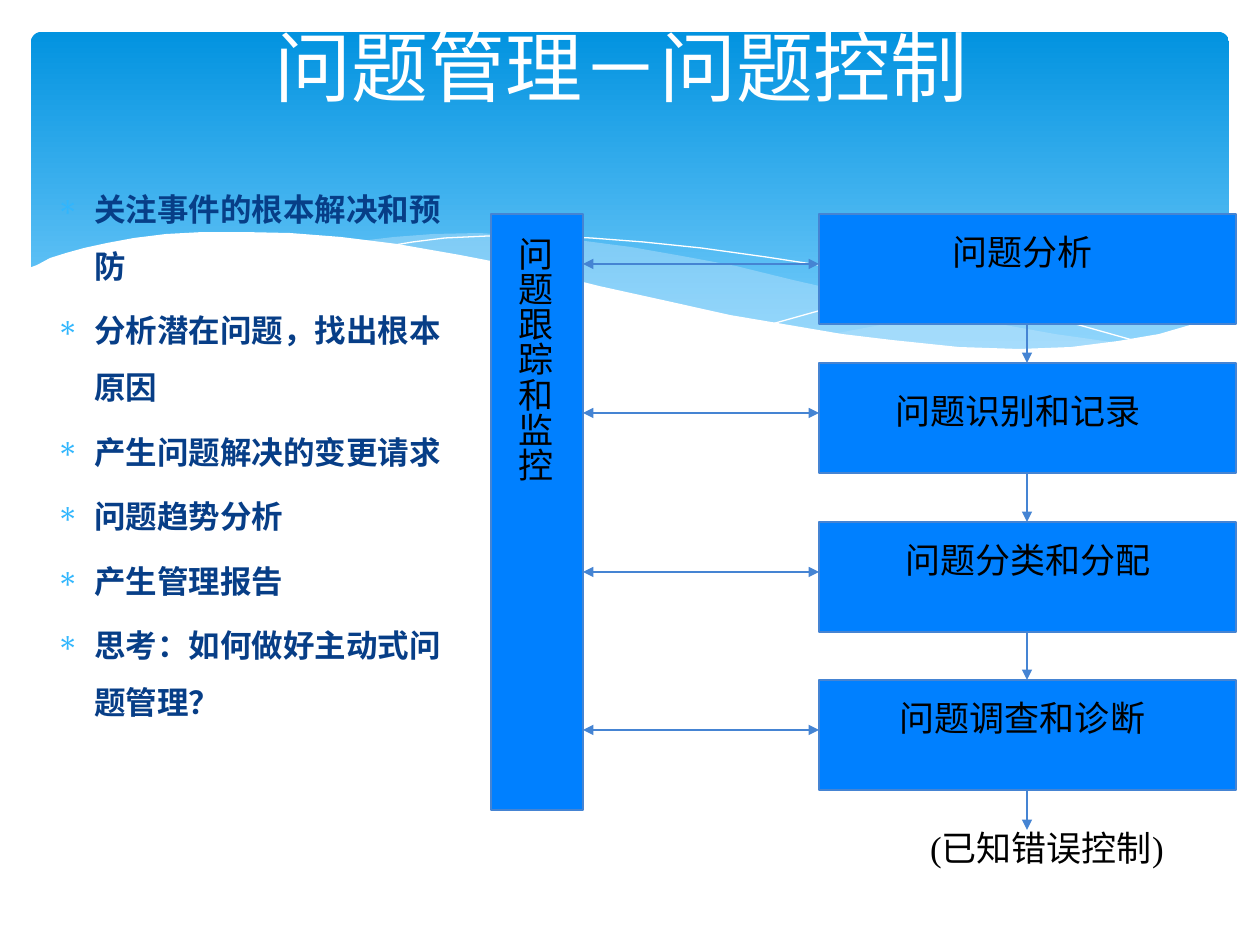
from itertools import pairwise
from lxml.etree import SubElement
from pptx import Presentation
from pptx.dml.color import RGBColor
from pptx.enum.shapes import MSO_CONNECTOR, MSO_SHAPE
from pptx.enum.text import MSO_ANCHOR, PP_ALIGN
from pptx.oxml.ns import qn
from pptx.util import Pt

PX = 914400 / 126
BLUE, EDGE, PALE, WHITE = "0080FF", "4584D3", "C6E7FC", "FFFFFF"

BACK = [(1201, 20), (1165, 25), (1113, 36), (1056, 49), (985, 67), (920, 80),
        (804, 102), (842, 107), (893, 113), (940, 117), (997, 118),
        (1047, 116), (1101, 108), (1149, 98), (1184, 86), (1201, 79)]
MID = [(1096, 112), (1026, 102), (948, 88), (861, 70), (764, 48), (707, 34),
       (653, 24), (602, 15), (556, 9), (500, 4), (450, 1), (404, 2), (365, 5),
       (331, 9), (378, 15), (427, 24), (480, 34), (537, 48), (590, 60),
       (639, 70), (707, 86), (770, 97), (828, 106), (881, 113), (930, 117),
       (988, 120), (1039, 118)]
FALL = [(360, 14), (384, 10), (416, 6), (459, 4), (517, 4), (562, 6),
        (614, 10), (672, 16), (737, 25), (809, 36), (887, 53), (973, 73),
        (1018, 84), (1114, 111)]
RISE = [(743, 92), (793, 78), (847, 64), (913, 49), (987, 33), (1062, 19),
        (1118, 10), (1169, 4), (1200, 1)]
FRONT = [(1202, 78), (1168, 91), (1130, 102), (1089, 109), (1042, 115),
         (990, 117), (930, 115), (863, 108), (813, 102), (760, 93), (701, 83),
         (638, 69), (570, 54), (498, 36), (431, 23), (368, 12), (312, 5),
         (261, 1), (214, 0), (174, 0), (137, 2), (105, 6), (78, 11), (55, 16),
         (37, 21), (21, 26), (8, 33), (0, 36), (0, 183), (1202, 183)]
POINTS = ["关注事件的根本解决和预防", "分析潜在问题，找出根本原因",
          "产生问题解决的变更请求", "问题趋势分析", "产生管理报告",
          "思考：如何做好主动式问题管理？"]
STEPS = [(0, "问题分析", (9, 10, 391, 55)),
         (149, "问题识别和记录", (9, 20, 382, 55)),
         (308, "问题分类和分配", (19, 10, 382, 55)),
         (466, "问题调查和诊断", (9, 10, 391, 55))]


def emu(*nums):
    return [round(n * PX) for n in nums]


def rgb(code):
    return RGBColor.from_string(code)


def paint(shape, fill=None, line=None, width=1):
    shape.shadow.inherit = False
    if fill:
        shape.fill.solid()
        shape.fill.fore_color.rgb = rgb(fill)
    else:
        shape.fill.background()
    if line:
        shape.line.color.rgb = rgb(line)
        shape.line.width = Pt(width)
    else:
        shape.line.fill.background()


def rect(slide, box, fill, line=None):
    shape = slide.shapes.add_shape(MSO_SHAPE.RECTANGLE, *emu(*box))
    paint(shape, fill, line)
    return shape


def style(para, name, size, color, bold=False):
    font = para.font
    font.name, font.size, font.bold = name, Pt(size), bold
    font.color.rgb = rgb(color)


def label(shape, text, pads=(13, 6, 15, 6), align=PP_ALIGN.CENTER):
    frame = shape.text_frame
    frame.word_wrap = True
    frame.vertical_anchor = MSO_ANCHOR.TOP
    (frame.margin_left, frame.margin_top,
     frame.margin_right, frame.margin_bottom) = emu(*pads)
    para = frame.paragraphs[0]
    para.text, para.alignment = text, align
    style(para, "Times New Roman", 20, "000000")
    return frame


def arrow(slide, start, end, both=False):
    link = slide.shapes.add_connector(MSO_CONNECTOR.STRAIGHT,
                                      *emu(*start, *end))
    link.line.color.rgb = rgb(EDGE)
    link.line.width = Pt(1)
    line = link.line._get_or_add_ln()
    if both:
        SubElement(line, qn("a:headEnd"), type="triangle")
    SubElement(line, qn("a:tailEnd"), type="triangle")
    SubElement(link._element.spPr, qn("a:effectLst"))


def curve(slide, box, dots, fill=None, alpha=100, line=None):
    left, top = box[:2]
    path = [(left + x, top + y) for x, y in dots]
    pen = slide.shapes.build_freeform(*path[0], scale=PX)
    pen.add_line_segments(path[1:], close=bool(fill))
    shape = pen.convert_to_shape()
    paint(shape, fill, line, 0)
    if alpha < 100:
        tint = shape._element.spPr.find(qn("a:solidFill"))[0]
        SubElement(tint, qn("a:alpha"), val=str(alpha * 1000))


def banner(slide, box):
    left, top, wide, high = box
    card = slide.shapes.add_shape(MSO_SHAPE.ROUNDED_RECTANGLE, *emu(*box))
    card.adjustments[0] = 0.03
    paint(card)
    card.fill.gradient()
    card.fill.gradient_angle = 270
    for stop, color in zip(card.fill.gradient_stops, ("0293E0", "83D3FE")):
        stop.color.rgb = rgb(color)
    wave = (left - 2, top + 200)
    curve(slide, wave, BACK, PALE, 29)
    curve(slide, wave, MID, PALE, 40)
    curve(slide, wave, FALL, line=WHITE)
    curve(slide, wave, RISE, line=WHITE)
    curve(slide, wave, FRONT, WHITE)


def bullets(slide, box, items):
    frame = slide.shapes.add_textbox(*emu(*box)).text_frame
    frame.word_wrap = True
    for num, item in enumerate(items):
        para = frame.add_paragraph() if num else frame.paragraphs[0]
        para.text, para.line_spacing = item, 1.5
        if num:
            para.space_before = Pt(4.5)
        props = para._p.get_or_add_pPr()
        dent, = emu(38)
        props.set("marL", str(dent))
        props.set("indent", str(-dent))
        tint = SubElement(props, qn("a:buClr"))
        SubElement(tint, qn("a:srgbClr"), val="31B6FD")
        SubElement(props, qn("a:buChar"), char="∗")
        style(para, "Calibri", 18, "073E87", True)


def title(slide, box, text):
    frame = slide.shapes.add_textbox(*emu(*box)).text_frame
    frame.word_wrap = True
    frame.vertical_anchor = MSO_ANCHOR.MIDDLE
    para = frame.paragraphs[0]
    para.text, para.alignment = text, PP_ALIGN.CENTER
    style(para, "Calibri", 44, WHITE)


def flow(slide, box):
    left, top, wide, high = box
    bar, col, tall = 92, 328, 110
    rect(slide, (left, top, bar, high), BLUE, EDGE)
    track = rect(slide, (left + 2, top + 10, 69, 576), BLUE)
    frame = label(track, "问题跟踪和监控", (6, 13, 6, 15))
    frame._txBody.bodyPr.set("vert", "eaVert")
    for down, text, (x, y, w, h) in STEPS:
        rect(slide, (left + col, top + down, wide - col, tall), BLUE, EDGE)
        name = rect(slide, (left + col + x, top + down + y, w, h), BLUE)
        label(name, text)
        row = top + down + 50
        arrow(slide, (left + col, row), (left + bar, row), True)
    mid = left + (wide + col) // 2
    for one, two in pairwise([step[0] for step in STEPS] + [616]):
        arrow(slide, (mid, top + one + tall), (mid, top + two))
    last = slide.shapes.add_textbox(*emu(left + 426, top + 606, 309, 55))
    label(last, "(已知错误控制)", align=PP_ALIGN.LEFT)


def main():
    deck = Presentation()
    deck.slide_width, deck.slide_height = emu(1260, 945)
    slide = deck.slides.add_slide(deck.slide_layouts[6])
    banner(slide, (31, 32, 1198, 340))
    bullets(slide, (44, 165, 427, 665), POINTS)
    title(slide, (54, 6, 1134, 120), "问题管理－问题控制")
    flow(slide, (491, 214, 745, 596))
    deck.save("out.pptx")


if __name__ == "__main__":
    main()
